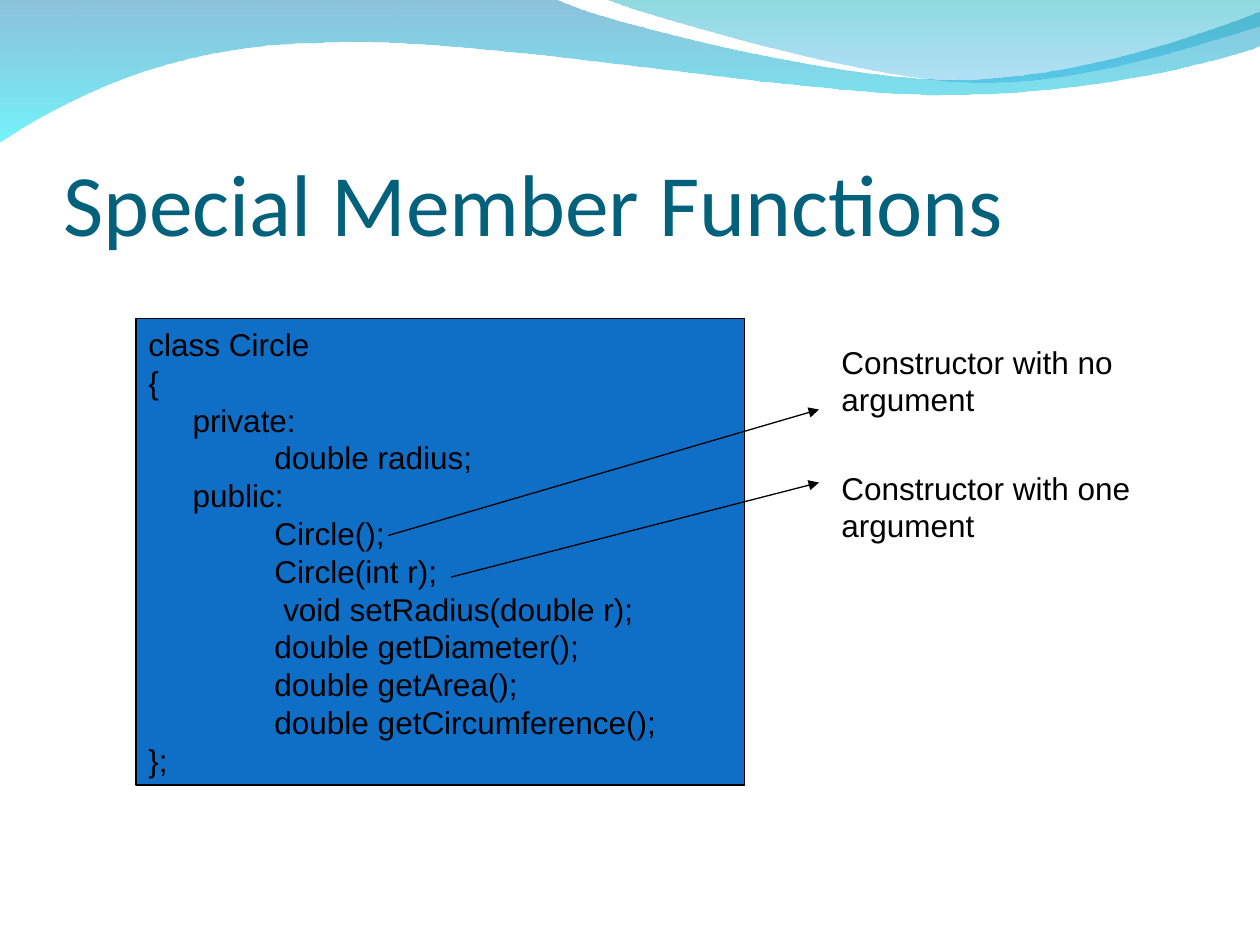
import pptx
import pptx.util
import pptx.dml.color
import pptx.enum.shapes
import pptx.enum.text
import lxml.etree
from pptx.oxml.ns import qn

Inches = pptx.util.Inches
Pt = pptx.util.Pt

TITLE = "Special Member Functions"
CODE = [
    (0, "class Circle"),
    (0, "{"),
    (0.35, "private:"),
    (1, "double radius;"),
    (0.35, "public:"),
    (1, "Circle();"),
    (1, "Circle(int r);"),
    (1.07, "void setRadius(double r);"),
    (1, "double getDiameter();"),
    (1, "double getArea();"),
    (1, "double getCircumference();"),
    (0, "};"),
]
NOTES = [
    ("Constructor with no argument", 2.67, (3.08, 4.25), (6.5, 3.25)),
    ("Constructor with one argument", 3.67, (3.58, 4.58), (6.5, 3.83)),
]
WAVES = [
    ([("0079AF", 45), ("00EBF8", 55)], (0, -0.01), [
        [(4.4, -0.01)],
        [(4.76, 0.17), (6.64, 0.63), (7.58, 0.63)],
        [(8.53, 0.63), (9.58, 0.26), (10, 0.09)],
        [(10.01, 0.36)],
        [(9.83, 0.44), (8.7, 0.76), (7.46, 0.75)],
        [(6.22, 0.75), (3.82, 0.28), (2.57, 0.34)],
        [(1.29, 0.35), (0.46, 0.83), (-0.01, 1.13)],
    ]),
    ([("00ADB6", 45), ("009BE5", 30)], (4.79, -0.01), [
        [(5.09, 0.11), (6.82, 0.62), (7.69, 0.65)],
        [(8.56, 0.69), (9.61, 0.32), (10, 0.21)],
        [(10, 0)],
    ]),
]


def rgb(value):
    return pptx.dml.color.RGBColor.from_string(value)


def style(p, size, font, color):
    for r in p.runs:
        r.font.size = Pt(size)
        r.font.name = font
        r.font.color.rgb = rgb(color)


def bend(sp, segments):
    lines = iter(list(sp._element.iter(qn("a:lnTo"))))
    for seg in segments:
        group = [next(lines) for _ in seg]
        if len(group) == 3:
            curve = lxml.etree.Element(qn("a:cubicBezTo"))
            group[0].addprevious(curve)
            for line in group:
                curve.append(line[0])
                line.getparent().remove(line)


def add_wave(s, level, stops, start, segments):
    builder = s.shapes.build_freeform(*map(Inches, start))
    builder.add_line_segments([tuple(map(Inches, pt)) for seg in segments for pt in seg])
    sp = builder.convert_to_shape()
    bend(sp, segments)
    sp.shadow.inherit = False
    sp.line.fill.background()
    sp.fill.gradient()
    sp.fill.gradient_angle = 270
    for stop, (color, _) in zip(sp.fill.gradient_stops, stops):
        stop.color.rgb = rgb(color)
    for clr, (_, alpha) in zip(sp._element.spPr.iter(qn("a:srgbClr")), stops):
        lxml.etree.SubElement(clr, qn("a:alpha")).set("val", str(alpha * 1000))
    s.shapes._spTree.insert(2 + level, sp._element)


def add_title(s):
    sp = s.shapes.title
    sp.left, sp.top, sp.width, sp.height = map(Inches, (0.5, 0.77, 9, 1.25))
    tf = sp.text_frame
    tf.text = TITLE
    tf.margin_left = tf.margin_right = tf.margin_bottom = 0
    tf.vertical_anchor = pptx.enum.text.MSO_ANCHOR.BOTTOM
    p = tf.paragraphs[0]
    p.alignment = pptx.enum.text.PP_ALIGN.LEFT
    style(p, 50, "Calibri", "04617B")


def add_code(s):
    sp = s.shapes.add_shape(pptx.enum.shapes.MSO_SHAPE.RECTANGLE,
                            *map(Inches, (1.08, 2.53, 4.83, 3.7)))
    sp.shadow.inherit = False
    sp.fill.solid()
    sp.fill.fore_color.rgb = rgb("0F6FC6")
    sp.line.color.rgb = rgb("000000")
    sp.line.width = Pt(0.75)
    tf = sp.text_frame
    tf.vertical_anchor = pptx.enum.text.MSO_ANCHOR.MIDDLE
    tf.auto_size = pptx.enum.text.MSO_AUTO_SIZE.SHAPE_TO_FIT_TEXT
    tf.text = "\n".join(text for _, text in CODE)
    for p, (indent, _) in zip(tf.paragraphs, CODE):
        p.alignment = pptx.enum.text.PP_ALIGN.LEFT
        p._p.get_or_add_pPr().set("marL", str(Inches(indent)))
        style(p, 18, "Arial", "000000")


def add_arrow(s, start, end):
    line = s.shapes.add_connector(pptx.enum.shapes.MSO_CONNECTOR.STRAIGHT,
                                  *map(Inches, start + end))
    line.line.color.rgb = rgb("000000")
    line.line.width = Pt(0.75)
    lxml.etree.SubElement(line.line._get_or_add_ln(), qn("a:tailEnd")).set("type", "triangle")
    lxml.etree.SubElement(line._element.spPr, qn("a:effectLst"))


def add_note(s, text, top):
    tf = s.shapes.add_textbox(*map(Inches, (6.58, top, 2.77, 0.7))).text_frame
    tf.word_wrap = True
    tf.auto_size = pptx.enum.text.MSO_AUTO_SIZE.SHAPE_TO_FIT_TEXT
    tf.text = text
    style(tf.paragraphs[0], 18, "Arial", "000000")


def main():
    prs = pptx.Presentation()
    prs.slide_width, prs.slide_height = Inches(10), Inches(7.5)
    s = prs.slides.add_slide(prs.slide_layouts[5])
    for level, wave in enumerate(WAVES):
        add_wave(s, level, *wave)
    add_title(s)
    add_code(s)
    for _, _, start, end in NOTES:
        add_arrow(s, start, end)
    for text, top, _, _ in NOTES:
        add_note(s, text, top)
    prs.save("out.pptx")


if __name__ == "__main__":
    main()
